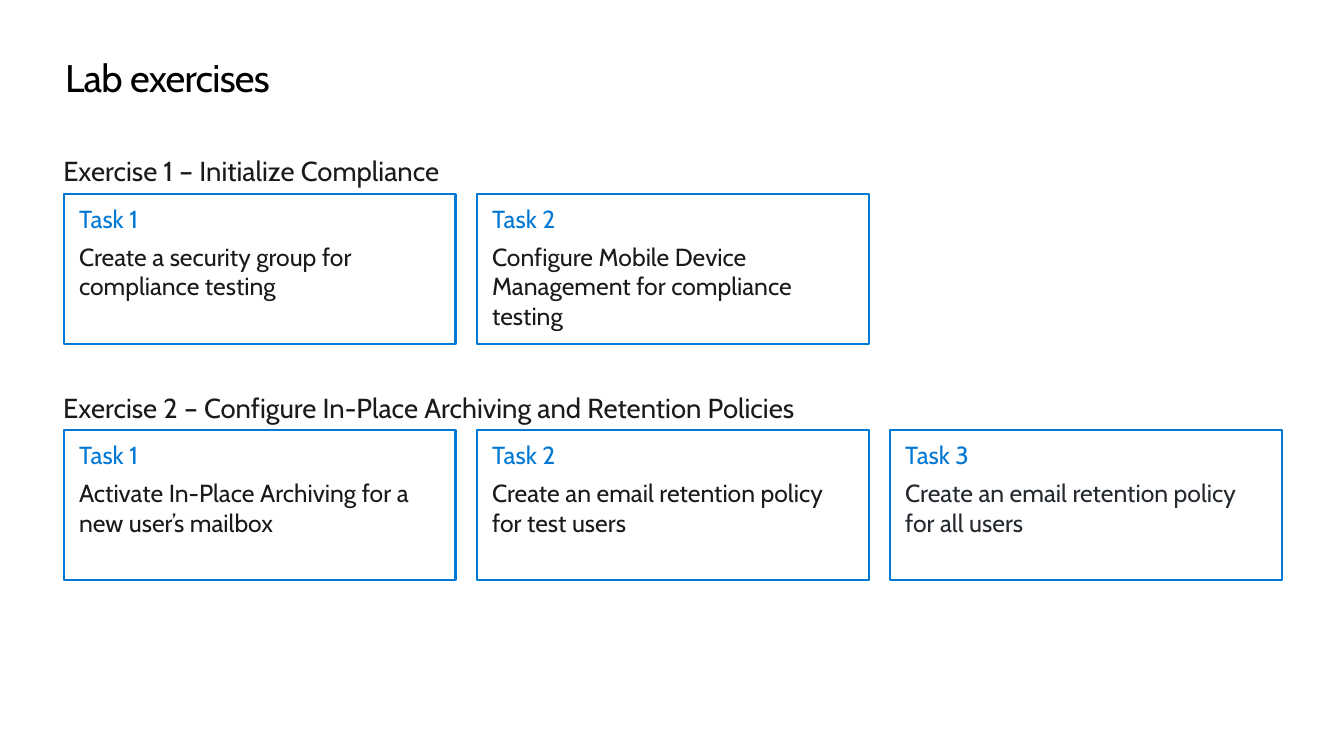
from pptx import Presentation
from pptx import util as u
from pptx.dml.color import RGBColor
from pptx.enum import shapes, text

FONT = "Cabin"
COLORS = {"title": "000000", "accent": "0078D4", "body": "1A1A1A", "slate": "24292F"}
CARD_WIDTH, CARD_HEIGHT, CARD_STEP = 3.96, 1.52, 4.18
LABEL_HEIGHT, CARD_OFFSET = 0.34, 0.4

# heading, heading width, top, tasks as (description, color)
EXERCISES = [
    ("Exercise 1 – Initialize Compliance", 4.21, 1.56, [
        ("Create a security group for compliance testing", "body"),
        ("Configure Mobile Device Management for compliance testing", "body"),
    ]),
    ("Exercise 2 – Configure In-Place Archiving and Retention Policies", 8.06, 3.95, [
        ("Activate In-Place Archiving for a new user’s mailbox", "body"),
        ("Create an email retention policy for test users", "body"),
        ("Create an email retention policy for all users", "slate"),
    ]),
]


def set_margins(frame, horizontal=0, vertical=0):
    frame.margin_left = frame.margin_right = u.Inches(horizontal)
    frame.margin_top = frame.margin_bottom = u.Inches(vertical)


def write(paragraph, content, size, color):
    paragraph.text = content
    paragraph.alignment = text.PP_ALIGN.LEFT
    run = paragraph.runs[0]
    run.font.name = FONT
    run.font.size = u.Pt(size)
    run.font.color.rgb = RGBColor.from_string(COLORS[color])
    return run


def add_title(slide, left, top, width, height):
    title = slide.shapes.title
    title.left, title.top = u.Inches(left), u.Inches(top)
    title.width, title.height = u.Inches(width), u.Inches(height)
    frame = title.text_frame
    set_margins(frame)
    frame.vertical_anchor = text.MSO_ANCHOR.TOP
    frame.auto_size = text.MSO_AUTO_SIZE.SHAPE_TO_FIT_TEXT
    run = write(frame.paragraphs[0], "Lab exercises", 28, "title")
    # Tighten letter spacing by half a point
    run.font._element.set("spc", "-50")


def add_task(slide, left, top, name, description, color):
    card = slide.shapes.add_shape(
        shapes.MSO_SHAPE.RECTANGLE, u.Inches(left), u.Inches(top),
        u.Inches(CARD_WIDTH), u.Inches(CARD_HEIGHT))
    card.shadow.inherit = False
    card.fill.background()
    card.line.color.rgb = RGBColor.from_string(COLORS["accent"])
    card.line.width = u.Pt(1.5)
    frame = card.text_frame
    frame.word_wrap = True
    frame.vertical_anchor = text.MSO_ANCHOR.TOP
    set_margins(frame, 0.15, 0.1)
    write(frame.paragraphs[0], name, 18, "accent")
    frame.paragraphs[0].space_after = u.Pt(6)
    write(frame.add_paragraph(), description, 18, color)


def add_exercise(slide, left, top, heading, heading_width, tasks):
    # Heading
    label = slide.shapes.add_textbox(
        u.Inches(left), u.Inches(top), u.Inches(heading_width), u.Inches(LABEL_HEIGHT))
    frame = label.text_frame
    set_margins(frame)
    frame.word_wrap = False
    frame.auto_size = text.MSO_AUTO_SIZE.SHAPE_TO_FIT_TEXT
    frame.vertical_anchor = text.MSO_ANCHOR.MIDDLE
    write(frame.paragraphs[0], heading, 20, "body")
    # Row of task cards
    for index, (description, color) in enumerate(tasks):
        add_task(slide, left + 0.01 + index * CARD_STEP, top + CARD_OFFSET,
                 f"Task {index + 1}", description, color)


def main():
    presentation = Presentation()
    presentation.slide_width = u.Inches(13.6)
    presentation.slide_height = u.Inches(7.65)
    slide = presentation.slides.add_slide(presentation.slide_layouts[5])
    add_title(slide, 0.66, 0.55, 12.29, 0.48)
    for heading, heading_width, top, tasks in EXERCISES:
        add_exercise(slide, 0.64, top, heading, heading_width, tasks)
    presentation.save("out.pptx")


if __name__ == "__main__":
    main()
